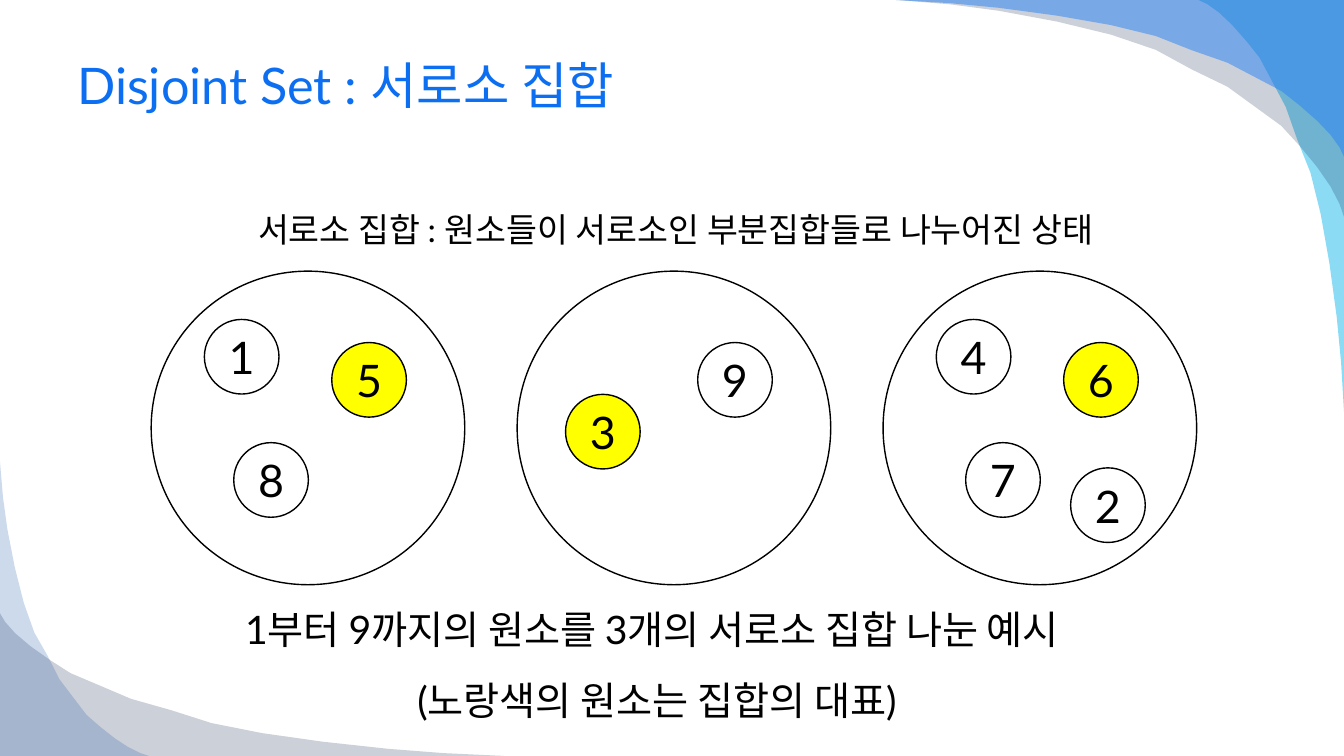
import pptx
import pptx.dml.color
import pptx.enum.shapes
import pptx.enum.text
import pptx.oxml
import pptx.util
from lxml import etree

Pt = pptx.util.Pt
Align = pptx.enum.text.PP_ALIGN
Anchor = pptx.enum.text.MSO_ANCHOR

WIDTH, HEIGHT = 960, 540
COLORS = {
    "ink": "000000", "white": "FFFFFF", "yellow": "FFFF00", "title": "0C6FF2",
    "cyan": "00B1E9", "navy": "021741", "blue": "247FF4", "royal": "084AA1",
}

SWOOSH_CURVE = [
    (0, 0), (0.01, 0.06), (0.03, 0.14), (0.06, 0.23), (0.1, 0.33),
    (0.14, 0.42), (0.2, 0.51), (0.26, 0.6), (0.34, 0.68), (0.42, 0.77),
    (0.52, 0.84), (0.64, 0.9), (0.77, 0.95), (0.88, 0.98), (1, 1),
]
SWOOSHES = [
    ((856, 0), (WIDTH, 294), True, "cyan", 45),
    ((WIDTH, 155), (640, 0), False, "navy", 20),
    ((WIDTH, 112), (640, 0), False, "blue", 49),
    ((0, 438), (360, HEIGHT), False, "navy", 20),
    ((106.5, HEIGHT), (0, 330), True, "royal", 20),
]

SET_LEFT, SET_TOP, SET_STEP, SET_SIZE = 108, 193.7, 261.4, 224
ELEMENT_SIZE = 53.3
SPOTS = {
    "upper left": (38, 34.5), "upper right": (129, 51),
    "middle left": (34.6, 88), "lower left": (59, 122.5),
    "lower right": (134, 140.5),
}
DISJOINT_SETS = [
    ("5", {"1": "upper left", "5": "upper right", "8": "lower left"}),
    ("3", {"9": "upper right", "3": "middle left"}),
    ("6", {"4": "upper left", "6": "upper right", "7": "lower left", "2": "lower right"}),
]


class SlideBuilder:
    font_name = "Lato"

    def __init__(self, page):
        self.page = page

    def color(self, name):
        return pptx.dml.color.RGBColor.from_string(COLORS[name])

    def place(self, box, left, top, width, height):
        box.left, box.top = Pt(left), Pt(top)
        box.width, box.height = Pt(width), Pt(height)

    def set_text(self, box, text, size, color="ink", align=Align.LEFT, anchor=Anchor.TOP):
        frame = box.text_frame
        frame.word_wrap = True
        frame.auto_size = pptx.enum.text.MSO_AUTO_SIZE.NONE
        frame.vertical_anchor = anchor
        frame.text = text
        para = frame.paragraphs[0]
        para.alignment = align
        para.font.name = self.font_name
        para.font.size = Pt(size)
        para.font.color.rgb = self.color(color)

    def title(self, text, left, top, width, height):
        box = self.page.shapes.title
        self.place(box, left, top, width, height)
        self.set_text(box, text, 36, "title", anchor=Anchor.MIDDLE)

    def text(self, text, size, left, top, width, height, align=Align.LEFT):
        box = self.page.shapes.add_textbox(Pt(left), Pt(top), Pt(width), Pt(height))
        self.set_text(box, text, size, align=align)

    def circle(self, left, top, size, fill="white", text=None):
        oval = pptx.enum.shapes.MSO_SHAPE.OVAL
        circle = self.page.shapes.add_shape(oval, Pt(left), Pt(top), Pt(size), Pt(size))
        circle.shadow.inherit = False
        circle.fill.solid()
        circle.fill.fore_color.rgb = self.color(fill)
        circle.line.color.rgb = self.color("ink")
        circle.line.width = Pt(1)
        if text:
            self.set_text(circle, text, 32, align=Align.CENTER, anchor=Anchor.MIDDLE)

    def swoosh(self, start, end, upright, color, opacity):
        (left, top), (right, bottom) = start, end
        points = []
        for along, across in SWOOSH_CURVE:
            x_share, y_share = (across, along) if upright else (along, across)
            points.append((Pt(left + (right - left) * x_share),
                           Pt(top + (bottom - top) * y_share)))
        corner = (right, top) if upright else (left, bottom)
        points.append((Pt(corner[0]), Pt(corner[1])))
        builder = self.page.shapes.build_freeform(*points[0])
        builder.add_line_segments(points[1:], close=True)
        shape = builder.convert_to_shape()
        shape.shadow.inherit = False
        shape.line.fill.background()
        shape.fill.solid()
        shape.fill.fore_color.rgb = self.color(color)
        tint = shape.element.spPr.find(".//" + pptx.oxml.ns.qn("a:srgbClr"))
        alpha = etree.SubElement(tint, pptx.oxml.ns.qn("a:alpha"))
        alpha.set("val", str(opacity * 1000))


def main():
    deck = pptx.Presentation()
    deck.slide_width, deck.slide_height = Pt(WIDTH), Pt(HEIGHT)
    slide = SlideBuilder(deck.slides.add_slide(deck.slide_layouts[5]))

    for swoosh in SWOOSHES:
        slide.swoosh(*swoosh)

    slide.title("Disjoint Set : 서로소 집합", 48, 24, 864, 72.5)
    slide.text("서로소 집합 : 원소들이 서로소인 부분집합들로 나누어진 상태",
               24, 86.5, 145.5, 792, 34, Align.CENTER)

    for index, (representative, elements) in enumerate(DISJOINT_SETS):
        set_left = SET_LEFT + index * SET_STEP
        slide.circle(set_left, SET_TOP, SET_SIZE)
        for number, spot in elements.items():
            across, down = SPOTS[spot]
            fill = "yellow" if number == representative else "white"
            slide.circle(set_left + across, SET_TOP + down, ELEMENT_SIZE, fill, number)

    slide.text("1부터 9까지의 원소를 3개의 서로소 집합 나눈 예시", 28, 168, 428.5, 629, 41)
    slide.text("(노랑색의 원소는 집합의 대표)", 28, 291, 479.5, 386, 41)

    deck.save("out.pptx")


if __name__ == "__main__":
    main()
